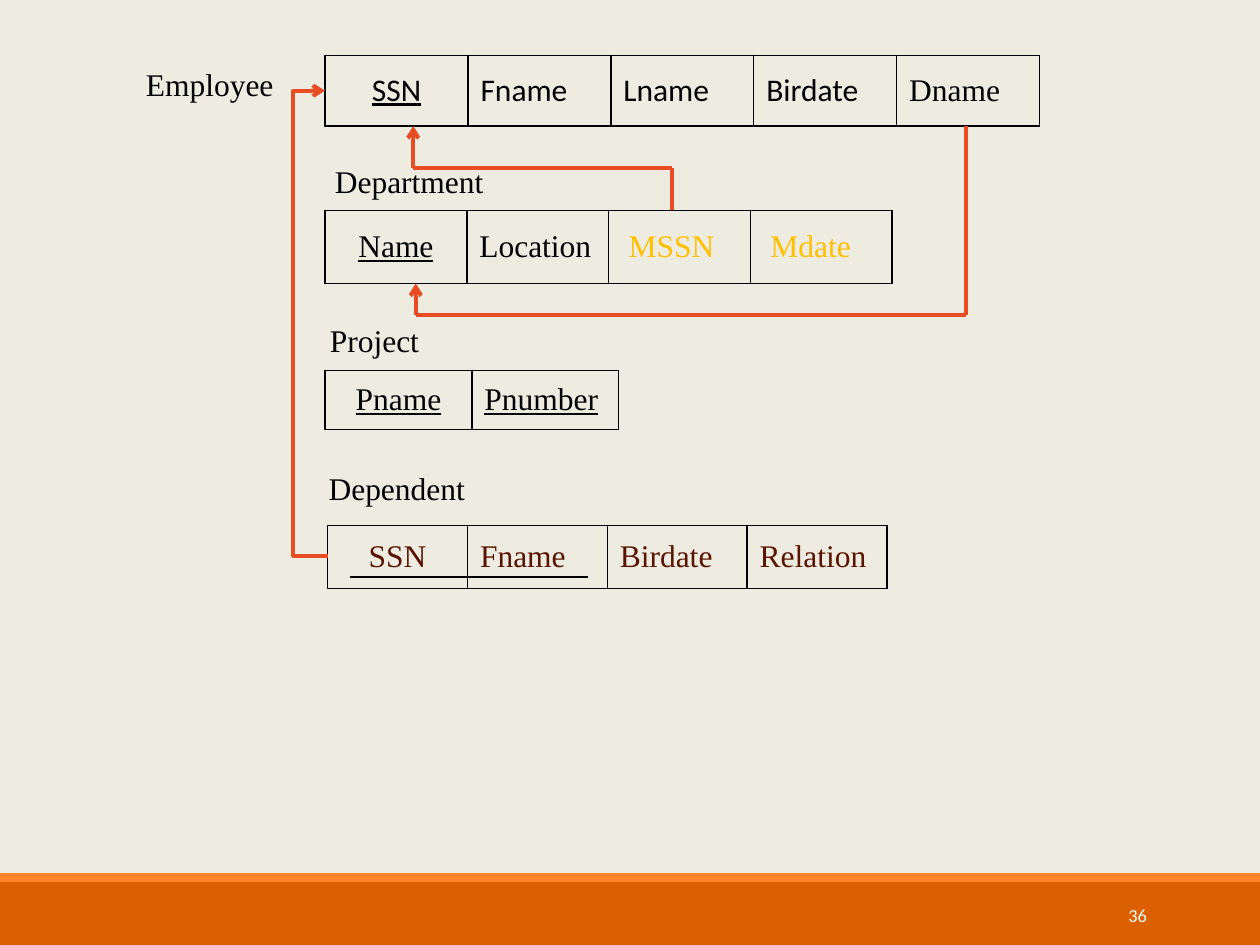
from lxml import etree
from pptx import Presentation
from pptx.dml.color import RGBColor
from pptx.enum import shapes, text
from pptx.oxml import parse_xml
from pptx.oxml.ns import nsdecls, qn
from pptx.util import Inches, Pt

COLORS = {
    "background": "EEECE1",
    "footer": "DC5F00",
    "stripe": "FF8427",
    "ink": "000000",
    "white": "FFFFFF",
    "gold": "FFC000",
    "maroon": "591300",
    "reference": "E84C22",
}
SERIF = "Times New Roman"
SANS = "Calibri"


def rgb(name):
    return RGBColor.from_string(COLORS[name])


def write_text(frame, content, size=18, font=SERIF, color="ink",
               underline=False, align=text.PP_ALIGN.LEFT):
    paragraph = frame.paragraphs[0]
    paragraph.alignment = align
    run = paragraph.add_run()
    run.text = content
    run.font.size = Pt(size)
    run.font.name = font
    run.font.color.rgb = rgb(color)
    run.font.underline = underline


class SchemaSlide:
    def __init__(self, presentation):
        self.slide = presentation.slides.add_slide(presentation.slide_layouts[6])
        self.slide.background.fill.solid()
        self.slide.background.fill.fore_color.rgb = rgb("background")

    def bar(self, top, height, color):
        shape = self.slide.shapes.add_shape(
            shapes.MSO_SHAPE.RECTANGLE, 0, Inches(top), Inches(10), Inches(height))
        shape.shadow.inherit = False
        shape.fill.solid()
        shape.fill.fore_color.rgb = rgb(color)
        shape.line.fill.background()

    def label(self, content, left, top, width, anchor=text.MSO_ANCHOR.TOP, **style):
        box = self.slide.shapes.add_textbox(
            Inches(left), Inches(top), Inches(width), Inches(0.4))
        box.text_frame.word_wrap = True
        box.text_frame.vertical_anchor = anchor
        write_text(box.text_frame, content, **style)

    def relation(self, left, top, width, height, fields):
        table = self.slide.shapes.add_table(
            1, len(fields), Inches(left), Inches(top), Inches(width), Inches(height)).table
        table.first_row = False
        table.horz_banding = False
        for index, (content, style) in enumerate(fields):
            cell = table.cell(0, index)
            cell.vertical_anchor = text.MSO_ANCHOR.MIDDLE
            self.border(cell)
            cell.fill.background()
            if style.get("color") == "gold":
                cell.margin_left = Inches(0.16)
            align = text.PP_ALIGN.LEFT if index else text.PP_ALIGN.CENTER
            write_text(cell.text_frame, content, align=align, **style)

    def border(self, cell):
        properties = cell._tc.get_or_add_tcPr()
        for side in ("lnL", "lnR", "lnT", "lnB"):
            properties.append(parse_xml(
                f'<a:{side} {nsdecls("a")} w="{Pt(1)}"><a:solidFill>'
                f'<a:srgbClr val="{COLORS["ink"]}"/></a:solidFill></a:{side}>'))

    def line(self, start, end, color="reference", width=2.25, arrow=False, bend=None):
        kind = shapes.MSO_CONNECTOR.STRAIGHT if bend is None else shapes.MSO_CONNECTOR.ELBOW
        connector = self.slide.shapes.add_connector(
            kind, *(Inches(value) for value in (*start, *end)))
        connector.line.color.rgb = rgb(color)
        connector.line.width = Pt(width)
        properties = connector._element.spPr
        etree.SubElement(properties, qn("a:effectLst"))
        if arrow:
            outline = connector.line._get_or_add_ln()
            etree.SubElement(outline, qn("a:tailEnd"), type="arrow")
        if bend is not None:
            ratio = round((bend - start[0]) / (end[0] - start[0]) * 100000)
            adjustments = properties.find(qn("a:prstGeom")).get_or_add_avLst()
            etree.SubElement(adjustments, qn("a:gd"), name="adj1", fmla=f"val {ratio}")

    def route(self, points):
        last = len(points) - 2
        for index, (start, end) in enumerate(zip(points, points[1:])):
            self.line(start, end, arrow=index == last)


def main():
    presentation = Presentation()
    presentation.slide_width = Inches(10)
    presentation.slide_height = Inches(7.5)
    schema = SchemaSlide(presentation)

    schema.bar(7, 0.5, "footer")
    schema.bar(6.93, 0.07, "stripe")
    schema.label("36", 8.12, 7.06, 1.08, anchor=text.MSO_ANCHOR.MIDDLE,
                 size=10.5, font=SANS, color="white", align=text.PP_ALIGN.RIGHT)

    sans = {"font": SANS}
    key = {"underline": True}
    gold = {"color": "gold"}
    maroon = {"color": "maroon"}

    schema.label("Employee", 1.06, 0.47, 1.42)
    schema.relation(2.58, 0.44, 5.67, 0.56, [
        ("SSN", {**sans, **key}), ("Fname", sans), ("Lname", sans),
        ("Birdate", sans), ("Dname", {})])

    schema.label("Department", 2.56, 1.24, 1.56)
    schema.relation(2.58, 1.67, 4.5, 0.58, [
        ("Name", key), ("Location", {}), ("MSSN", gold), ("Mdate", gold)])

    schema.label("Project", 2.52, 2.5, 1.56)
    schema.relation(2.58, 2.94, 2.33, 0.47, [("Pname", key), ("Pnumber", key)])

    schema.label("Dependent", 2.51, 3.67, 1.56)
    schema.relation(2.6, 4.17, 4.44, 0.5, [
        (field, maroon) for field in ("SSN", "Fname", "Birdate", "Relation")])
    schema.line((4.67, 4.58), (2.78, 4.58), color="ink", width=1.5)

    schema.route([(5.33, 1.67), (5.33, 1.33), (3.28, 1.33), (3.28, 1)])
    schema.line((2.6, 4.41), (2.58, 0.72), arrow=True, bend=2.33)
    schema.route([(7.67, 1), (7.67, 2.5), (3.3, 2.5), (3.3, 2.25)])

    presentation.save("out.pptx")


if __name__ == "__main__":
    main()
